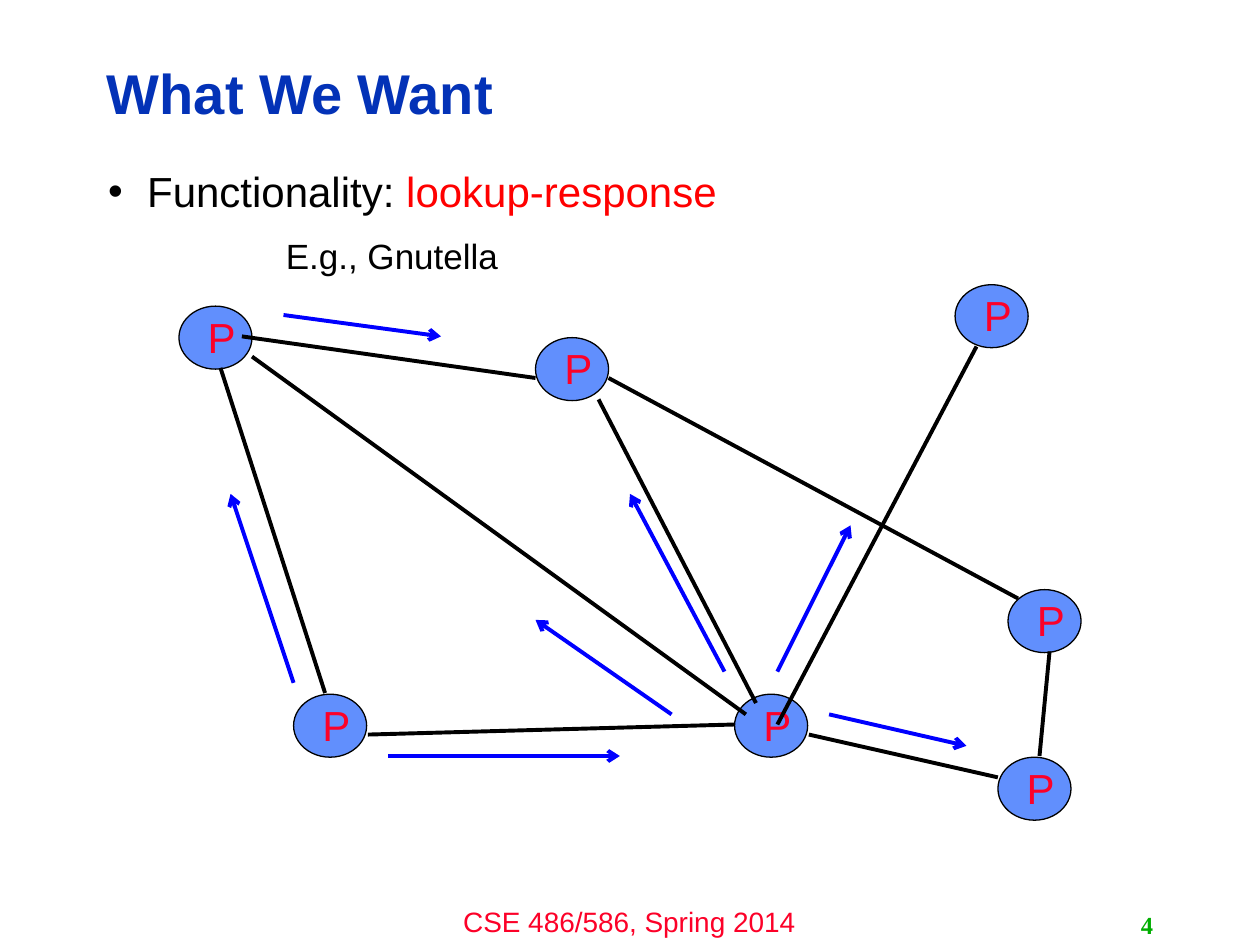
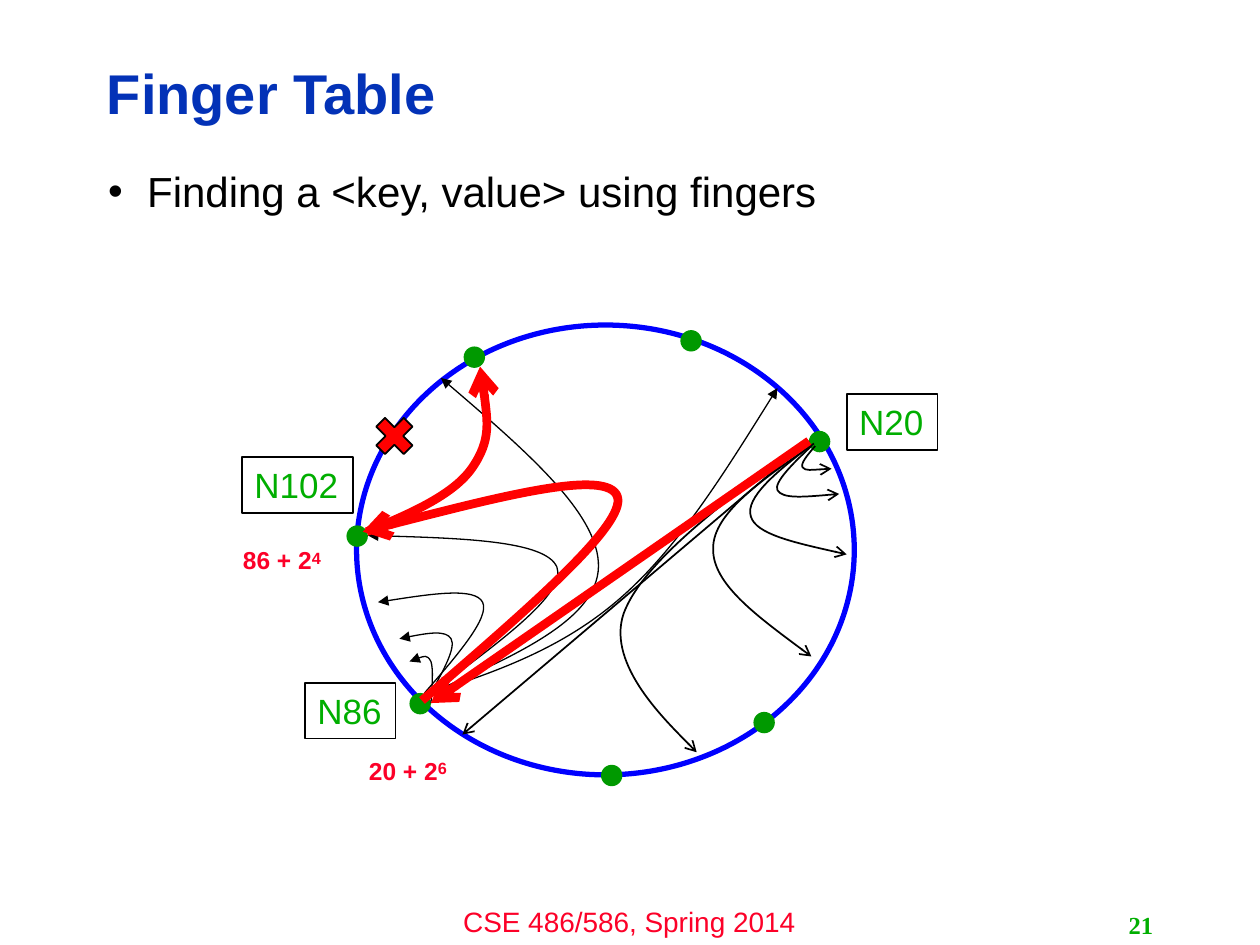
"""Two lecture slides on peer-to-peer lookup: a flooding network and a finger table."""
from lxml import etree
from pptx import Presentation
from pptx.dml.color import RGBColor
from pptx.enum.shapes import MSO_CONNECTOR, MSO_SHAPE
from pptx.enum.text import MSO_ANCHOR, MSO_AUTO_SIZE, PP_ALIGN
from pptx.oxml.ns import qn
from pptx.util import Inches, Pt

OVAL, CROSS = MSO_SHAPE.OVAL, MSO_SHAPE.MATH_MULTIPLY
STRAIGHT = MSO_CONNECTOR.STRAIGHT
LEFT, CENTER, RIGHT = PP_ALIGN.LEFT, PP_ALIGN.CENTER, PP_ALIGN.RIGHT
TOP, MIDDLE = MSO_ANCHOR.TOP, MSO_ANCHOR.MIDDLE
FIT = MSO_AUTO_SIZE.SHAPE_TO_FIT_TEXT

BLACK, RED, BLUE = "000000", "FF0000", "0000FF"
NAVY, CRIMSON, GREEN = "0332B7", "FC0128", "00AE00"
PEER_FILL, NODE_FILL = "618FFD", "009900"
SANS, SERIF = "Arial", "Times New Roman"
FOOTER = "CSE 486/586, Spring 2014"


def color(hex_code):
    """Turn a hex string into a colour."""
    return RGBColor.from_string(hex_code)


def inches(*values):
    """Turn several numbers into lengths."""
    return [Inches(value) for value in values]


class Lecture:
    """The lecture style and the slide being drawn."""

    def __init__(self):
        """Open an empty 4:3 deck."""
        self.deck = Presentation()
        self.deck.slide_width, self.deck.slide_height = inches(10, 7.5)
        self.page = None

    def start(self, title, number, bullet):
        """Begin a slide with its footer, title, bullet and number."""
        self.page = self.deck.slides.add_slide(self.deck.slide_layouts[6])
        self.text((3.33, 7.13, 3.33, 0.37), [(FOOTER, 16, CRIMSON)],
                  align=CENTER, wrap=True)
        box = self.text((0.75, 0.36, 7.98, 0.81), [(title, 32, NAVY, True)],
                        anchor=MIDDLE, wrap=True)
        box.text_frame.paragraphs[0].line_spacing = 0.9
        self.bullet(bullet)
        self.text((7.17, 7.18, 2.08, 0.32),
                  [(str(number), 14, GREEN, True, False, SERIF)],
                  align=RIGHT, anchor=MIDDLE, wrap=True)

    def bullet(self, spans):
        """Write the bulleted statement under the title."""
        box = self.text((0.76, 1.31, 8.4, 5.39), spans, wrap=True)
        para = box.text_frame.paragraphs[0]
        para.line_spacing = 0.9
        props = para._p.get_or_add_pPr()
        props.set("marL", str(Inches(0.31)))
        props.set("indent", str(-Inches(0.31)))
        etree.SubElement(props, qn("a:buFont")).set("typeface", SANS)
        etree.SubElement(props, qn("a:buChar")).set("char", "•")

    def span(self, para, text, size, hue, bold=False, raised=False, font=SANS):
        """Add one run to a paragraph."""
        span = para.add_run()
        span.text = text
        span.font.name, span.font.size, span.font.bold = font, Pt(size), bold
        span.font.color.rgb = color(hue)
        if raised:
            span._r.get_or_add_rPr().set("baseline", "20000")

    def text(self, place, spans, align=LEFT, anchor=TOP, wrap=False, parent=None):
        """Add a text box holding one paragraph."""
        box = (parent or self.page).shapes.add_textbox(*inches(*place))
        frame = box.text_frame
        frame.word_wrap, frame.vertical_anchor = wrap, anchor
        if not wrap:
            frame.auto_size = FIT
        para = frame.paragraphs[0]
        para.alignment = align
        for span in spans:
            self.span(para, *span)
        return box

    def tag(self, place, name, width):
        """Add a framed node name."""
        box = self.text(place, [(name, 20, GREEN)])
        self.stroke(box, BLACK, width)

    def formula(self, left, top, base, power):
        """Add a sum whose last figure is a raised power."""
        self.text((left, top, 0.84, 0.34),
                  [(base, 14, CRIMSON, True), (power, 16, CRIMSON, True, True)])

    def stroke(self, shape, hue, width, head=None):
        """Set a line's colour, width and arrowhead."""
        shape.line.color.rgb = color(hue)
        shape.line.width = Pt(width)
        if head:
            line = shape.line._get_or_add_ln()
            etree.SubElement(line, qn("a:tailEnd")).set("type", head)

    def shape(self, kind, place, fill=None, hue=None, width=1, parent=None):
        """Add a preset shape, with or without fill and outline."""
        shape = (parent or self.page).shapes.add_shape(kind, *inches(*place))
        shape.shadow.inherit = False
        if fill:
            shape.fill.solid()
            shape.fill.fore_color.rgb = color(fill)
        else:
            shape.fill.background()
        if hue:
            self.stroke(shape, hue, width)
        else:
            shape.line.fill.background()

    def peer(self, left, top):
        """Add a grouped oval and its letter."""
        group = self.page.shapes.add_group_shape()
        self.shape(OVAL, (left, top, 0.58, 0.5), PEER_FILL, BLACK, 0.75, group)
        self.text((left + 0.13, top - 0.01, 0.39, 0.5), [("P", 24, CRIMSON)],
                  parent=group)

    def line(self, start, end, hue=BLACK, width=2.25, head=None):
        """Add a straight line or arrow."""
        line = self.page.shapes.add_connector(STRAIGHT, *inches(*start, *end))
        self.stroke(line, hue, width, head)
        etree.SubElement(line._element.spPr, qn("a:effectLst"))

    def curve(self, points, hue, width, head):
        """Add an arrow of cubic curves: a start, then three points for each."""
        first, *rest = [inches(*point) for point in points]
        builder = self.page.shapes.build_freeform(*first)
        builder.add_line_segments(rest, close=False)
        shape = builder.convert_to_shape()
        steps = list(shape._element.iter(qn("a:lnTo")))
        for index in range(0, len(steps), 3):
            bend = etree.Element(qn("a:cubicBezTo"))
            steps[index].addprevious(bend)
            for step in steps[index:index + 3]:
                bend.append(step[0])
                step.getparent().remove(step)
        shape.shadow.inherit = False
        shape.fill.background()
        self.stroke(shape, hue, width, head)


def draw_network(lecture):
    """Draw peers, their links and the direction of each lookup."""
    lecture.start("What We Want", 4, [("Functionality: ", 24, BLACK),
                                      ("lookup-response", 24, RED)])
    for peer in [(5.83, 5.51), (1.42, 2.43), (8, 4.68), (2.33, 5.51),
                 (4.25, 2.68), (7.58, 2.26), (7.92, 6.01)]:
        lecture.peer(*peer)
    links = [((4.25, 3), (1.92, 2.67)), ((1.75, 2.92), (2.58, 5.5)),
             ((4.83, 3), (8.08, 4.75)), ((2, 2.83), (5.92, 5.67)),
             ((4.75, 3.17), (6, 5.58)), ((2.92, 5.83), (5.83, 5.75)),
             ((7.75, 2.75), (6.17, 5.75)), ((7.92, 6.17), (6.42, 5.83)),
             ((8.25, 6), (8.33, 5.17))]
    for start, end in links:
        lecture.line(start, end)
    lookups = [((3.08, 6), (4.92, 6)), ((5.33, 5.67), (4.25, 4.92)),
               ((5.75, 5.33), (5, 3.92)), ((6.17, 5.33), (6.75, 4.17)),
               ((2.33, 5.42), (1.83, 3.92)), ((2.25, 2.5), (3.5, 2.67)),
               ((6.58, 5.67), (7.67, 5.92))]
    for start, end in lookups:
        lecture.line(start, end, BLUE, head="arrow")
    lecture.text((2.17, 1.81, 1.9, 0.44), [("E.g., Gnutella", 20, BLACK)])


def draw_fingers(lecture):
    """Draw the ring, the fingers of two nodes and the route of a lookup."""
    lecture.start("Finger Table", 21,
                  [("Finding a <key, value> using fingers", 24, BLACK)])
    lecture.shape(OVAL, (2.83, 2.58, 3.95, 3.57), hue=BLUE, width=3)
    for left, top in [(6.42, 3.42), (2.75, 4.17), (5.98, 5.65), (3.68, 2.75),
                      (3.25, 5.5), (4.77, 6.07), (5.4, 2.62)]:
        lecture.shape(OVAL, (left, top, 0.17, 0.17), NODE_FILL)

    fingers_of_86 = [
        [(3.42, 5.58), (3.43, 5.44), (3.44, 5.31), (3.42, 5.25),
         (3.39, 5.19), (3.32, 5.22), (3.25, 5.25)],
        [(3.42, 5.5), (3.52, 5.32), (3.62, 5.14), (3.58, 5.07),
         (3.54, 5), (3.35, 5.03), (3.17, 5.07)],
        [(3.37, 5.5), (3.63, 5.2), (3.89, 4.9), (3.83, 4.78),
         (3.77, 4.66), (3.38, 4.72), (3, 4.78)],
        [(3.42, 5.5), (3.96, 5.1), (4.5, 4.71), (4.42, 4.5),
         (4.33, 4.29), (3.62, 4.27), (2.92, 4.25)],
        [(3.42, 5.5), (4.08, 5.21), (4.74, 4.92), (4.75, 4.5),
         (4.76, 4.08), (4.13, 3.54), (3.5, 3)],
        [(3.42, 5.5), (3.94, 5.33), (4.46, 5.15), (4.92, 4.75),
         (5.38, 4.35), (5.77, 3.72), (6.17, 3.08)],
    ]
    for points in fingers_of_86:
        lecture.curve(points, BLACK, 0.75, "triangle")

    lecture.tag((2.42, 5.42, 0.72, 0.44), "N86", 0.75)
    lecture.formula(1.83, 4.25, "86 + 2", "4")
    lecture.tag((1.92, 3.63, 0.88, 0.44), "N102", 1)
    lecture.tag((6.72, 3.13, 0.72, 0.44), "N20", 1)
    lecture.line((6.42, 3.5), (3.67, 5.83), width=1, head="arrow")
    lecture.formula(2.83, 5.92, "20 + 2", "6")
    lecture.shape(CROSS, (2.92, 3.25, 0.42, 0.42), RED, BLACK)

    fingers_of_20 = [
        [(6.47, 3.54), (6.41, 3.61), (6.35, 3.68), (6.37, 3.71),
         (6.39, 3.74), (6.6, 3.72), (6.6, 3.72)],
        [(6.44, 3.54), (6.29, 3.68), (6.14, 3.83), (6.17, 3.89),
         (6.21, 3.96), (6.43, 3.94), (6.66, 3.92)],
        [(6.43, 3.54), (6.17, 3.74), (5.91, 3.95), (5.96, 4.1),
         (6, 4.24), (6.36, 4.32), (6.72, 4.4)],
        [(6.46, 3.52), (6.06, 3.8), (5.66, 4.07), (5.66, 4.35),
         (5.65, 4.63), (6.05, 4.92), (6.44, 5.21)],
        [(6.41, 3.49), (5.76, 3.97), (5.1, 4.46), (4.95, 4.87),
         (4.81, 5.28), (5.53, 5.97), (5.53, 5.97)],
    ]
    for points in fingers_of_20:
        lecture.curve(points, BLACK, 1, "arrow")

    lecture.line((6.42, 3.5), (3.42, 5.58), RED, 5, "arrow")
    route = [
        [(3.35, 5.56), (4.16, 4.86), (4.98, 4.16), (4.9, 3.94),
         (4.82, 3.72), (3.85, 3.97), (2.88, 4.22)],
        [(2.91, 4.22), (3.25, 4.08), (3.6, 3.93), (3.75, 3.71),
         (3.9, 3.49), (3.86, 3.2), (3.81, 2.91)],
    ]
    for points in route:
        lecture.curve(points, RED, 5, "arrow")


def main():
    """Build both slides and save them."""
    lecture = Lecture()
    draw_network(lecture)
    draw_fingers(lecture)
    lecture.deck.save("out.pptx")


main()
